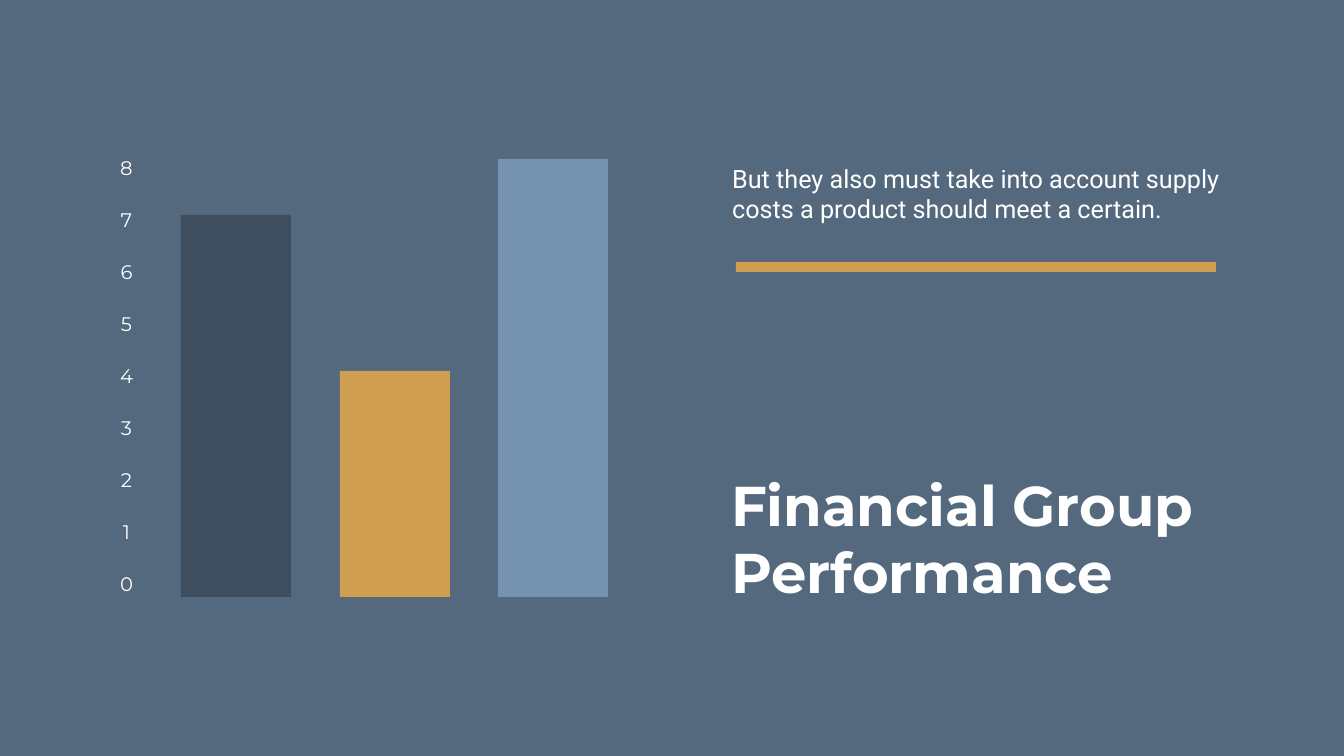
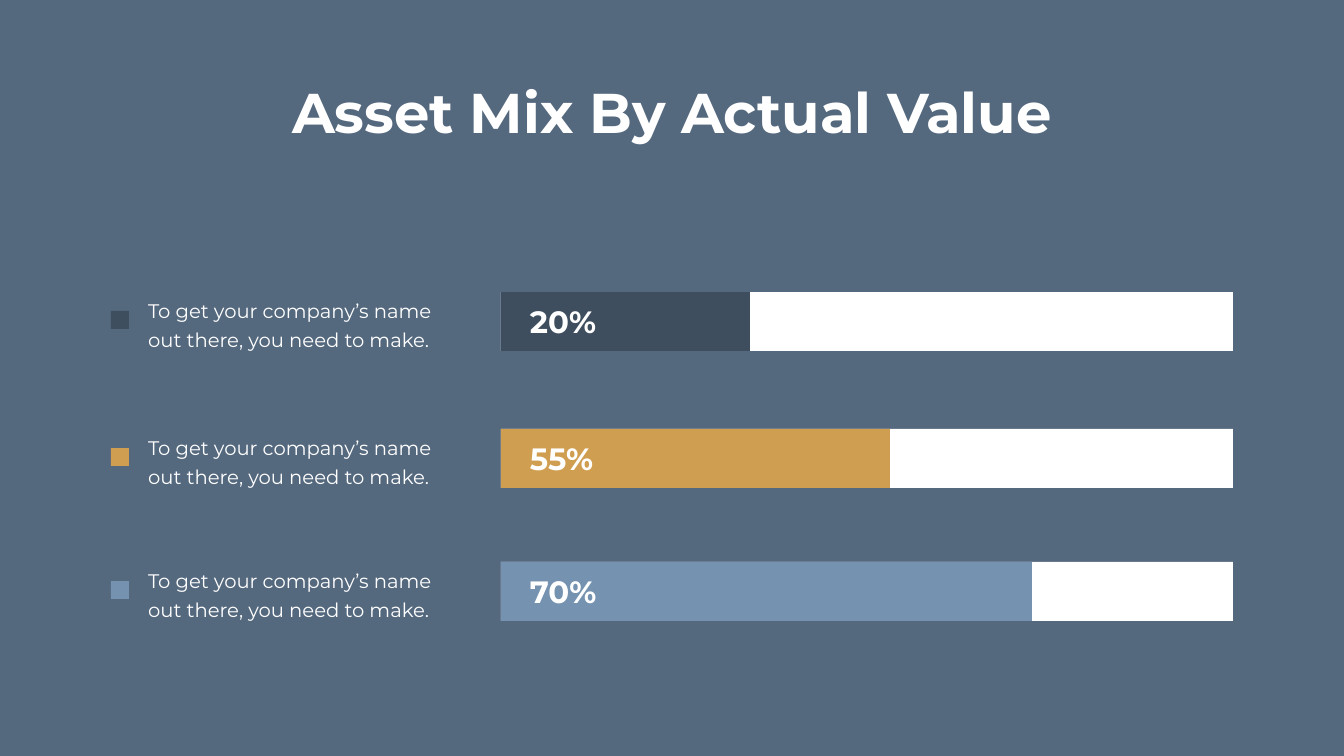
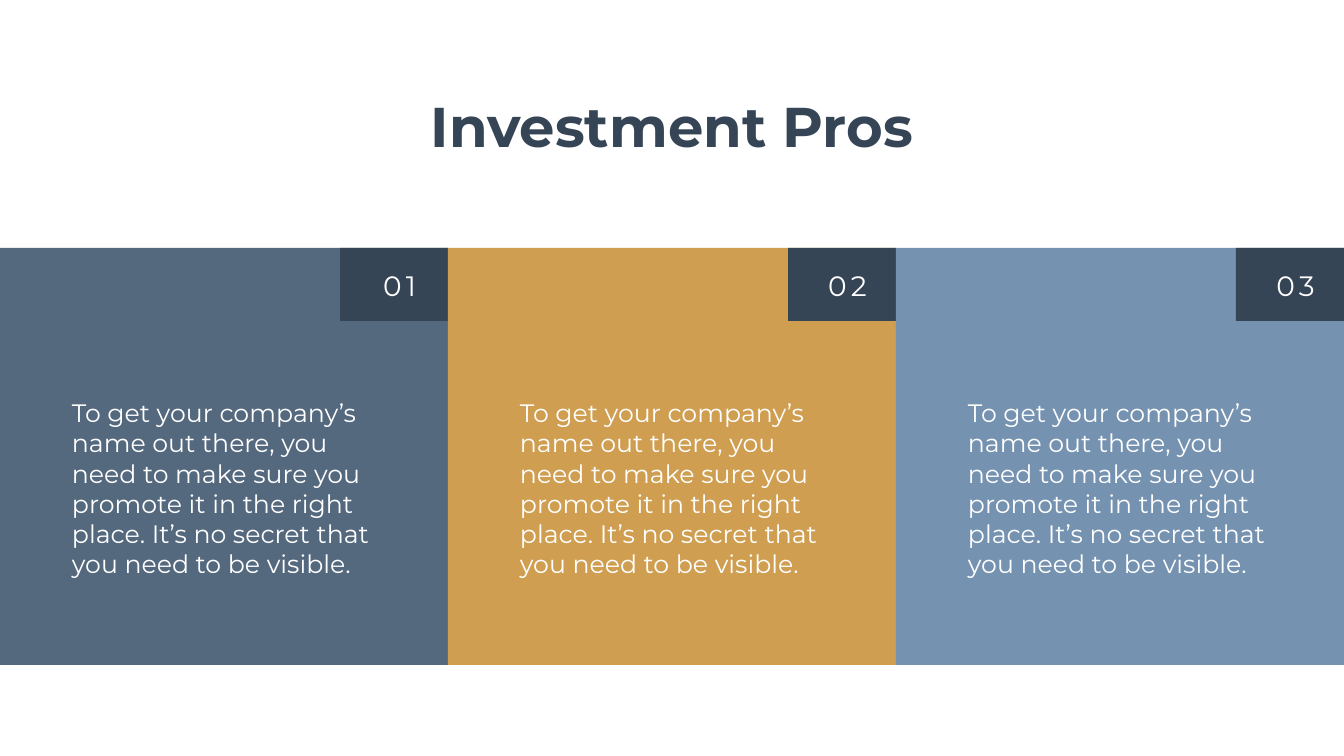
"""Build three finance slides: bar scale, asset mix and numbered columns."""
from pptx import Presentation
from pptx.dml.color import RGBColor
from pptx.enum.shapes import MSO_SHAPE as Kind
from pptx.enum.text import MSO_ANCHOR as Anchor, MSO_AUTO_SIZE as Fit, PP_ALIGN as Align
from pptx.util import Inches, Pt

PX = Inches(15) / 756
SLATE, DARK, GOLD, SKY = "54687E", "3F4E5E", "CF9E50", "7592B0"
NAVY, WHITE = "364556", "FFFFFF"
MID, LEFT = Align.CENTER, Align.LEFT
HEAD = {"name": "Montserrat", "size": Pt(80), "bold": True}
RATE = {"name": "Montserrat", "size": Pt(44), "bold": True}
TICK = {"name": "Montserrat", "size": Pt(28), "bold": False}
BODY = {"name": "Montserrat", "size": Pt(36), "bold": False}
TAG = {"name": "Montserrat", "size": Pt(40), "bold": False}
LEAD = {"name": "Roboto", "size": Pt(36), "bold": False}
hue = RGBColor.from_string


def block(slide, area, fill):
    box = slide.shapes.add_shape(Kind.RECTANGLE, *[round(n * PX) for n in area])
    box.shadow.inherit = False
    box.fill.solid()
    box.fill.fore_color.rgb = hue(fill)
    box.line.fill.background()


def write(slide, area, text, style, color=WHITE, align=LEFT, lead=None, title=False):
    spot = [round(n * PX) for n in area]
    box = slide.shapes.title if title else slide.shapes.add_textbox(*spot)
    for name, value in zip(("left", "top", "width", "height"), spot):
        setattr(box, name, value)
    frame = box.text_frame
    frame.word_wrap = True
    frame.auto_size = Fit.SHAPE_TO_FIT_TEXT
    frame.vertical_anchor = Anchor.TOP
    line = frame.paragraphs[0]
    line.alignment = align
    if lead:
        line.line_spacing = Pt(lead)
        frame.margin_left = frame.margin_right = Inches(0.24)
        frame.margin_top = frame.margin_bottom = Inches(0.12)
    run = line.add_run()
    run.text = text
    for name, value in style.items():
        setattr(run.font, name, value)
    run.font.color.rgb = hue(color)
    return run


deck = Presentation()
deck.slide_width, deck.slide_height = round(1344 * PX), round(756 * PX)
pages = []
for back in (SLATE, SLATE, WHITE):
    page = deck.slides.add_slide(deck.slide_layouts[5])
    page.background.fill.solid()
    page.background.fill.fore_color.rgb = hue(back)
    pages.append(page)
group, mix, pros = pages

write(group, (726, 468, 489, 141), "Financial Group Performance", HEAD, title=True)
base = 597
for left, tall, fill in ((181, 382, DARK), (340, 226, GOLD), (498, 438, SKY)):
    block(group, (left, base - tall, 110, tall), fill)
for num in range(9):
    write(group, (89, 569 - 52 * num, 75, 45), str(num), TICK, align=MID)
write(group, (720, 157, 534, 73),
      "But they also must take into account supply costs a product should meet a certain.",
      LEAD, lead=43)
block(group, (736, 262, 480, 10), GOLD)

write(mix, (124, 75, 1096, 73), "Asset Mix By Actual Value", HEAD, align=MID, title=True)
rows = ((292, 249, "20%", DARK), (429, 389, "55%", GOLD), (562, 531, "70%", SKY))
for top, wide, rate, fill in rows:
    block(mix, (501, top, 732, 59), WHITE)
    block(mix, (501, top, wide, 59), fill)
    write(mix, (525, top + 8, 107, 42), rate, RATE)
    write(mix, (136, top - 4, 324, 68),
          "To get your company’s name out there, you need to make.", TICK, lead=40.8)
    block(mix, (111, top + 19, 18, 18), fill)

write(pros, (346, 89, 652, 73), "Investment Pros", HEAD, NAVY, MID, title=True)
for col, fill in enumerate((SLATE, GOLD, SKY)):
    left = 448 * col
    block(pros, (left, 248, 448, 417), fill)
    write(pros, (left + 67, 395, 313, 188),
          "To get your company’s name out there, you need to make sure you promote it "
          "in the right place. It’s no secret that you need to be visible.", BODY)
    block(pros, (left + 340, 248, 108, 73), NAVY)
    run = write(pros, (left + 361, 266, 77, 39), f"{col + 1:02}", TAG, align=MID)
    run.font._element.set("spc", "600")

deck.save("out.pptx")
